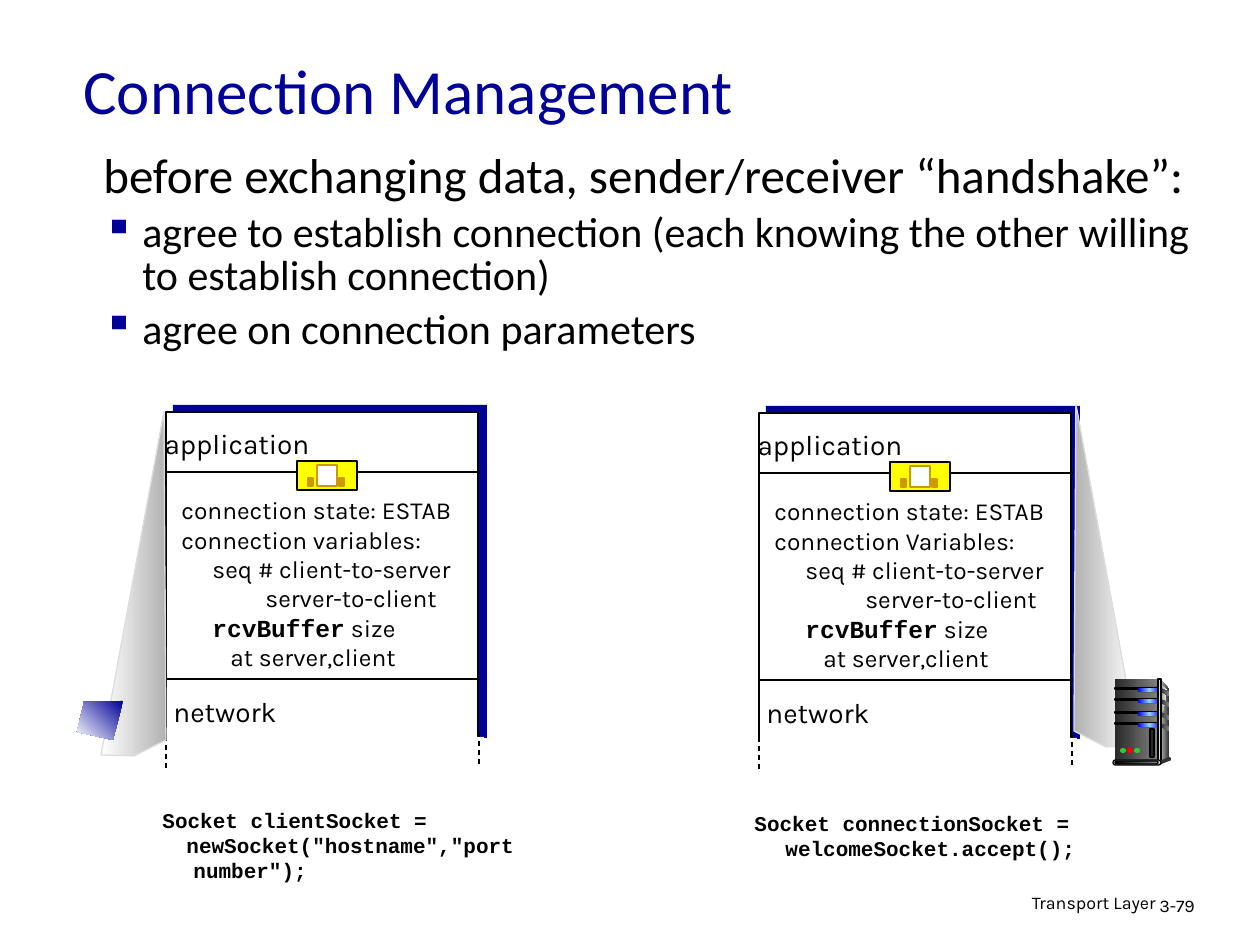
from lxml.etree import SubElement
from pptx import Presentation
from pptx.dml.color import RGBColor
from pptx.enum.dml import MSO_LINE
from pptx.enum.shapes import MSO_CONNECTOR, MSO_SHAPE
from pptx.enum.text import MSO_ANCHOR, PP_ALIGN
from pptx.oxml.ns import qn
from pptx.util import Pt

EMU = 914400 / 126
NAVY, BLACK, WHITE, GOLD = "000099", "000000", "FFFFFF", "CC9900"
CARBON, STEEL, LIGHT = "292929", "808080", "DDDDDD"
SANS, HEAD, MONO = "Karla", "Calibri", "Courier New"
RECT, ROUND, OVAL = MSO_SHAPE.RECTANGLE, MSO_SHAPE.ROUNDED_RECTANGLE, MSO_SHAPE.OVAL

BODY = [
    ("before exchanging data, sender/receiver “handshake”:", 28, 0, False),
    ("agree to establish connection (each knowing the other willing to establish connection)", 24, 6, True),
    ("agree on connection parameters", 24, 6, True),
]
HOSTS = [
    dict(dx=0, dy=0, variables="connection variables:", reply_indent=84,
         wedge=[(101, 755), (164, 412), (166, 740), (134, 756)],
         shade=[WHITE, "B2B2B2"], code_box=(150, 801, 398, 88),
         code=[("Socket clientSocket =", 31, -31),
               ('newSocket("hostname","port number");', 31, -7)]),
    dict(dx=593, dy=1, variables="connection Variables:", reply_indent=91,
         wedge=[(1138, 746), (1076, 404), (1074, 731), (1106, 747)],
         shade=["B2B2B2", WHITE], code_box=(742, 804, 398, 63),
         code=[("Socket connectionSocket = welcomeSocket.accept();", 31, -31)]),
]
ICON = [(297, 461, 60, 29, "FFFF00", BLACK), (317, 465, 20, 21, WHITE, GOLD),
        (339, 478, 5, 8, GOLD, GOLD), (308, 478, 5, 8, GOLD, GOLD)]
SLOTS = [688, 699, 712, 723]
LEDS = [(1120, "33CC33"), (1127, "FF0000"), (1134, "33CC33")]


def px(n):
    return round(n * EMU)


def rgb(color):
    return RGBColor.from_string(color)


def paint(sp, fill, line=None, angle=0):
    sp.shadow.inherit = False
    if isinstance(fill, list):
        sp.fill.gradient()
        sp.fill.gradient_angle = angle
        stops = sp._element.spPr.find(qn("a:gradFill")).find(qn("a:gsLst"))
        for stop in list(stops):
            stops.remove(stop)
        for i, color in enumerate(fill):
            stop = SubElement(stops, qn("a:gs"), pos=str(i * 100000 // (len(fill) - 1)))
            SubElement(stop, qn("a:srgbClr"), val=color)
    else:
        sp.fill.solid()
        sp.fill.fore_color.rgb = rgb(fill)
    if line:
        sp.line.color.rgb = rgb(line)
        sp.line.width = Pt(0.75)
    else:
        sp.line.fill.background()


def shape(shapes, x, y, w, h, fill, line=None, kind=RECT):
    sp = shapes.add_shape(kind, px(x), px(y), px(w), px(h))
    if kind == ROUND:
        sp.adjustments[0] = 0.5
    paint(sp, fill, line)


def polygon(shapes, points, fill, line=None, angle=0):
    corners = [(px(x), px(y)) for x, y in points]
    fb = shapes.build_freeform(*corners[0])
    fb.add_line_segments(corners[1:], close=True)
    paint(fb.convert_to_shape(), fill, line, angle)


def connector(shapes, x1, y1, x2, y2, dashed=False):
    c = shapes.add_connector(MSO_CONNECTOR.STRAIGHT, px(x1), px(y1), px(x2), px(y2))
    c.line.color.rgb = rgb(BLACK)
    c.line.width = Pt(0.75)
    if dashed:
        c.line.dash_style = MSO_LINE.DASH
    SubElement(c._element.spPr, qn("a:effectLst"))


def textbox(shapes, x, y, w, h, wrap=True):
    tf = shapes.add_textbox(px(x), px(y), px(w), px(h)).text_frame
    tf.word_wrap = wrap
    return tf


def paragraph(tf, first, runs, size, color=BLACK, left=0, indent=0, bullet=False):
    p = tf.paragraphs[0] if first else tf.add_paragraph()
    pPr = p._p.get_or_add_pPr()
    pPr.set("marL", str(px(left)))
    pPr.set("indent", str(px(indent)))
    if bullet:
        SubElement(SubElement(pPr, qn("a:buClr")), qn("a:srgbClr"), val=NAVY)
        SubElement(pPr, qn("a:buChar"), char="▪")
    for text, font, bold in runs:
        r = p.add_run()
        r.text = text
        r.font.name, r.font.size, r.font.bold = font, Pt(size), bold
        r.font.color.rgb = rgb(color)
    return p


def footer(shapes, text, box, align):
    p = paragraph(textbox(shapes, *box), True, [(text, SANS, False)], 10.2)
    p.alignment, p.line_spacing = align, 0.9


def host(shapes, dx, dy, variables, reply_indent, wedge, shade, code_box, code):
    def at(x, y):
        return x + dx, y + dy

    shape(shapes, *at(173, 405), 314, 333, NAVY)
    shape(shapes, *at(166, 412), 312, 340, WHITE, BLACK)
    connector(shapes, *at(166, 472), *at(480, 472))
    state = [
        ([("connection state: ESTAB", SANS, False)], 0),
        ([(variables, SANS, False)], 0),
        ([("seq # client-to-server", SANS, False)], 31),
        ([("server-to-client", SANS, False)], reply_indent),
        ([("rcvBuffer", MONO, True), (" size", SANS, False)], 31),
        ([("at server,client", SANS, False)], 49),
    ]
    tf = textbox(shapes, *at(169, 489), 321, 219)
    for i, (runs, left) in enumerate(state):
        paragraph(tf, i == 0, runs, 14, left=left)
    icon = shapes.add_group_shape().shapes
    for x, y, w, h, fill, line in ICON:
        shape(icon, *at(x, y), w, h, fill, line)
    connector(shapes, *at(167, 679), *at(480, 679))
    for label, x, y, w in [("application", 152, 420, 170), ("network", 158, 688, 134)]:
        tf = textbox(shapes, *at(x, y), w, 47, wrap=False)
        paragraph(tf, True, [(label, SANS, False)], 16).alignment = PP_ALIGN.CENTER
    shape(shapes, *at(163, 737), 321, 25, WHITE)
    for x, y in [(166, 736), (479, 732)]:
        connector(shapes, *at(x, y), *at(x, y + 33), dashed=True)
    polygon(shapes, wedge, shade, LIGHT)
    tf = textbox(shapes, *code_box)
    for i, (text, left, indent) in enumerate(code):
        paragraph(tf, i == 0, [(text, MONO, True)], 12, left=left, indent=indent)


def server(shapes):
    polygon(shapes, [(1160, 679), (1169, 689), (1169, 757), (1158, 761)], [LIGHT, "333333"])
    shape(shapes, 1115, 679, 43, 82, [CARBON, STEEL])
    polygon(shapes, [(1160, 684), (1167, 690), (1161, 722), (1160, 758)], [STEEL, "F8F8F8"])
    for y in SLOTS:
        shape(shapes, 1115, y, 24, 1, BLACK, BLACK)
        shape(shapes, 1138, y - 1, 24, 5, BLACK, kind=ROUND)
        shape(shapes, 1138, y, 23, 4, ["0000FF", "99CCFF", "0000FF"], kind=ROUND)
        polygon(shapes, [(1160, y), (1169, y + 4), (1169, y + 8), (1160, y + 3)], [CARBON, STEEL])
    shape(shapes, 1158, 679, 3, 82, ["333333", LIGHT, "333333"], BLACK)
    shape(shapes, 1168, 757, 3, 4, "333333", kind=OVAL)
    polygon(shapes, [(1159, 761), (1159, 765), (1169, 761), (1169, 757)], "333333")
    shape(shapes, 1113, 760, 48, 5, LIGHT, BLACK, ROUND)
    shape(shapes, 1115, 761, 43, 3, [BLACK, STEEL], BLACK, ROUND)
    for x, color in LEDS:
        shape(shapes, x, 748, 6, 5, color, kind=OVAL)
    shape(shapes, 1150, 729, 4, 28, CARBON, BLACK)


def main():
    prs = Presentation()
    prs.slide_width, prs.slide_height = px(1260), px(945)
    s = prs.slides.add_slide(prs.slide_layouts[6])
    footer(s.shapes, "Transport Layer", (769, 888, 399, 39), PP_ALIGN.RIGHT)
    footer(s.shapes, "3-79", (1147, 891, 93, 38), PP_ALIGN.LEFT)
    tf = textbox(s.shapes, 71, 26, 1071, 126)
    tf.vertical_anchor = MSO_ANCHOR.MIDDLE
    paragraph(tf, True, [("Connection Management", HEAD, False)], 36, NAVY)
    tf = textbox(s.shapes, 91, 147, 1149, 301)
    for i, (text, size, before, bullet) in enumerate(BODY):
        p = paragraph(tf, i == 0, [(text, HEAD, False)], size, left=39, indent=-39, bullet=bullet)
        p.line_spacing, p.space_before = 0.85, Pt(before)
    for item in HOSTS:
        host(s.shapes, **item)
    polygon(s.shapes, [(123, 701), (84, 702), (77, 732), (113, 740)], [NAVY, WHITE], angle=225)
    server(s.shapes.add_group_shape().shapes)
    prs.save("out.pptx")


if __name__ == "__main__":
    main()
